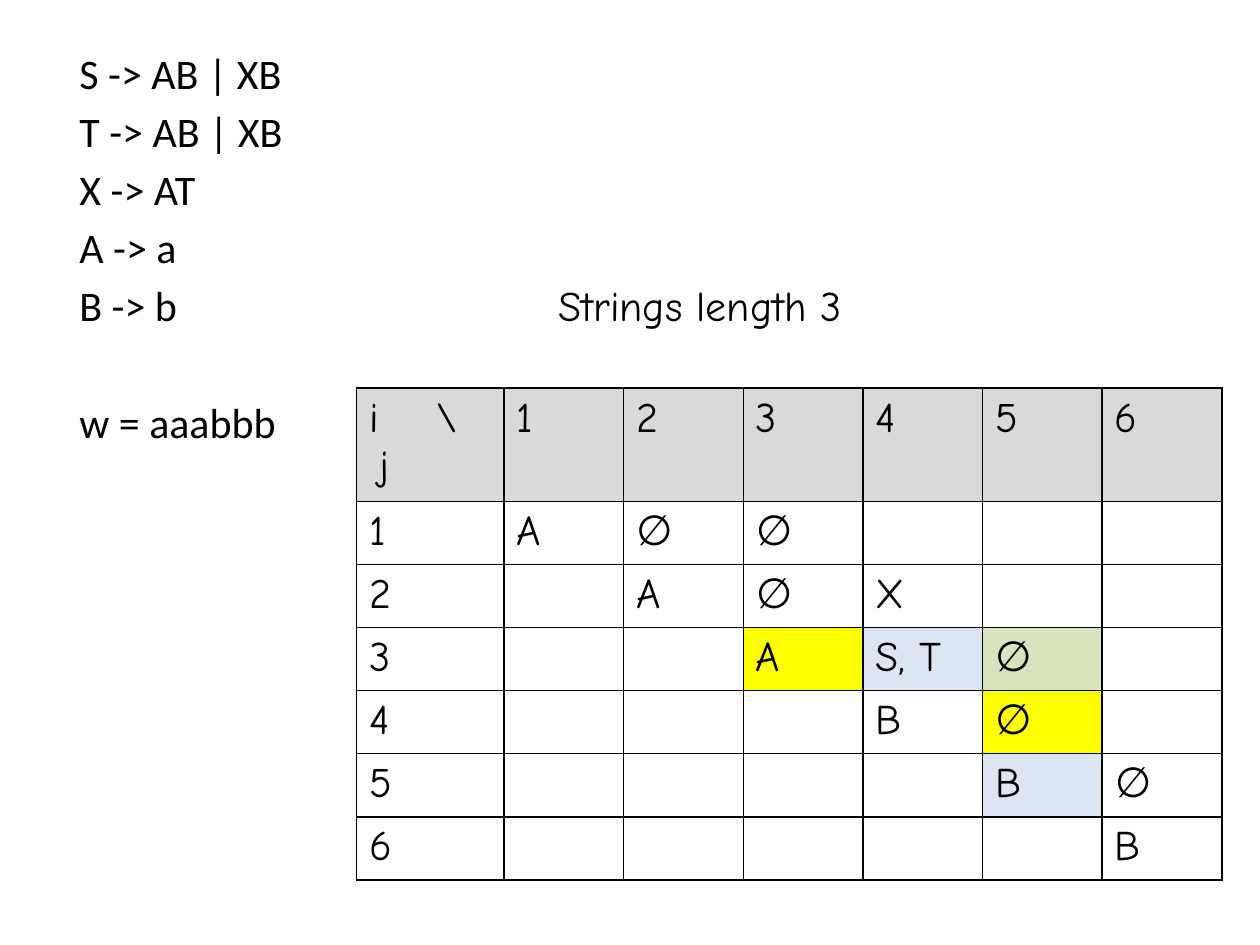
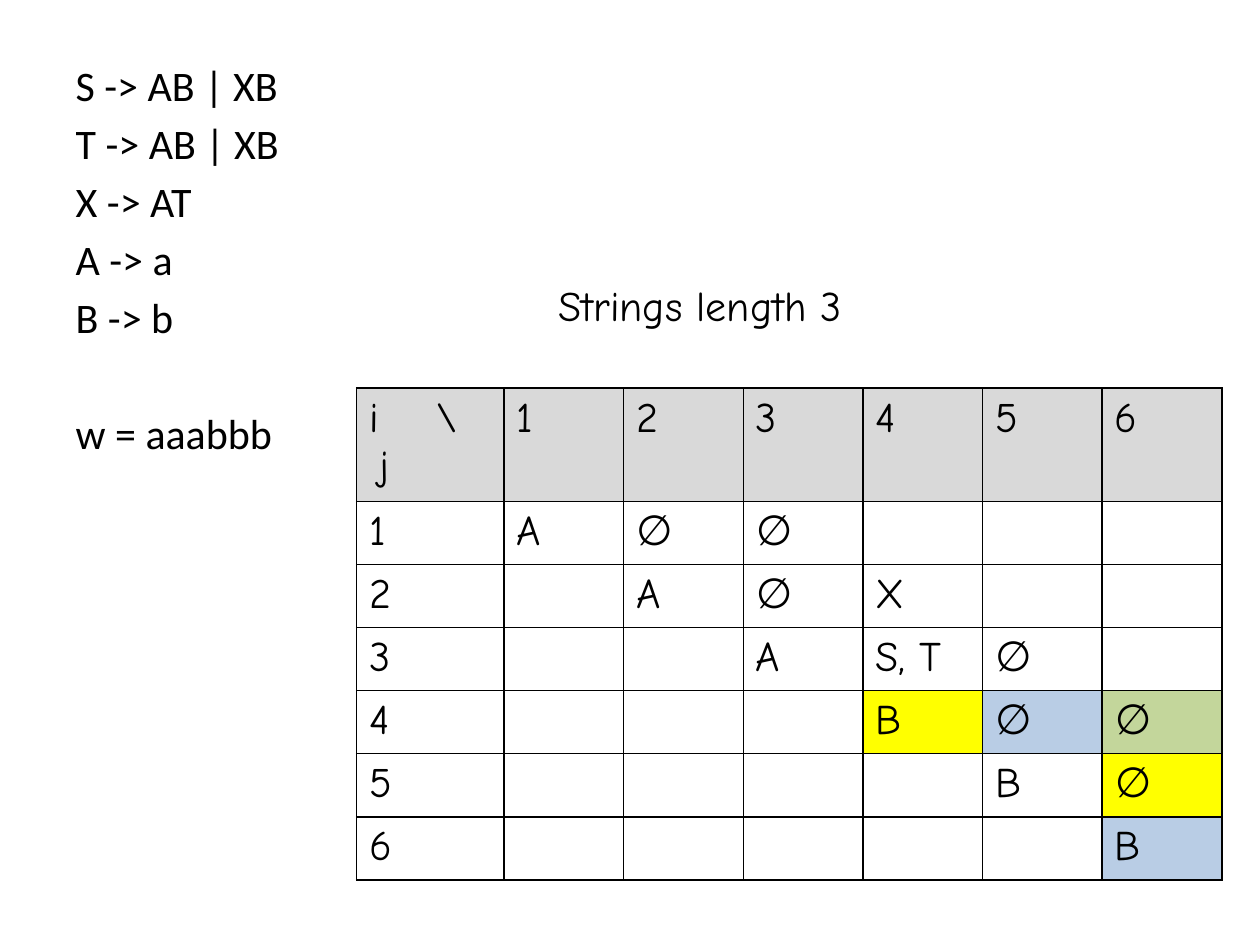
from lxml import etree
from pptx import Presentation
from pptx.dml.color import RGBColor
from pptx.enum.text import MSO_ANCHOR, MSO_AUTO_SIZE, PP_ALIGN
from pptx.oxml.ns import qn
from pptx.util import Pt

TOP = MSO_ANCHOR.TOP
LEFT = PP_ALIGN.LEFT
FIT_SHAPE = MSO_AUTO_SIZE.SHAPE_TO_FIT_TEXT

BLACK = RGBColor(0x00, 0x00, 0x00)
WHITE = RGBColor(0xFF, 0xFF, 0xFF)
HEADER_GREY = RGBColor(0xD9, 0xD9, 0xD9)
YELLOW = RGBColor(0xFF, 0xFF, 0x00)
PALE_BLUE = RGBColor(0xDC, 0xE6, 0xF2)
PALE_GREEN = RGBColor(0xD7, 0xE4, 0xBD)
MID_BLUE = RGBColor(0xB9, 0xCD, 0xE5)
MID_GREEN = RGBColor(0xC3, 0xD6, 0x9B)

TABLE_FONT = {"name": "Comic Neue", "size": Pt(24), "bold": False}
GRAMMAR_FONT = {"name": "Calibri", "size": Pt(24), "bold": False}
FRAME_FORMAT = {"word_wrap": True, "auto_size": FIT_SHAPE, "vertical_anchor": TOP}

TITLE_BOX = (311.76, 156.24, 198.72, 36)
TABLE_BOX = (203.76, 221.76, 494.64, 206.64)
LABEL_COLUMN = 84.24
PARA_GAP = 4.3
BLANK_LINE = 33.5

RULES = ["S -> AB | XB", "T -> AB | XB", "X -> AT", "A -> a", "B -> b"]
WORD = "aaabbb"
EMPTY = "∅"
KNOWN = {
    (1, 1): "A", (2, 2): "A", (3, 3): "A",
    (4, 4): "B", (5, 5): "B", (6, 6): "B",
    (1, 2): EMPTY, (2, 3): EMPTY, (3, 4): "S, T", (4, 5): EMPTY, (5, 6): EMPTY,
    (1, 3): EMPTY, (2, 4): "X",
}


def apply_format(target, values):
    for name, value in values.items():
        setattr(target, name, value)


def place(shape, box):
    for name, length in zip(("left", "top", "width", "height"), box):
        setattr(shape, name, Pt(length))


def write(para, text, font, gap=PARA_GAP):
    para.alignment = LEFT
    para.space_before = Pt(gap)
    span = para.add_run()
    span.text = text
    apply_format(span.font, font)
    span.font.color.rgb = BLACK


def add_title(page, box):
    title = page.shapes.title
    place(title, box)
    apply_format(title.text_frame, FRAME_FORMAT | {"word_wrap": False})
    write(title.text_frame.paragraphs[0], "Strings length 3", TABLE_FONT)


def add_grammar(page, box):
    body = page.placeholders[1]
    place(body, box)
    frame = body.text_frame
    apply_format(frame, FRAME_FORMAT)
    for index, line in enumerate(RULES + [f"w = {WORD}"]):
        para = frame.add_paragraph() if index else frame.paragraphs[0]
        gap = PARA_GAP + (BLANK_LINE if index == len(RULES) else 0)
        write(para, line, GRAMMAR_FONT, gap)
        properties = para._p.get_or_add_pPr()
        properties.set("marL", "0")
        properties.set("indent", "0")
        etree.SubElement(properties, qn("a:buNone"))


def add_borders(cell):
    properties = cell._tc.get_or_add_tcPr()
    for side in ("a:lnL", "a:lnR", "a:lnT", "a:lnB"):
        line = etree.SubElement(properties, qn(side), w=str(Pt(1)))
        fill = etree.SubElement(line, qn("a:solidFill"))
        etree.SubElement(fill, qn("a:srgbClr"), val=str(BLACK))


def write_corner(cell):
    first = cell.text_frame.paragraphs[0]
    write(first, "i\t\\", TABLE_FONT)
    tabs = etree.SubElement(first._p.get_or_add_pPr(), qn("a:tabLst"))
    etree.SubElement(tabs, qn("a:tab"), pos=str(Pt(38)), algn="l")
    second = cell.text_frame.add_paragraph()
    write(second, "j", TABLE_FONT, 0)
    second._p.get_or_add_pPr().set("marL", str(Pt(6)))


def split_fills(target, blue, green):
    start, end = target
    return {
        (start, start): YELLOW, (start + 1, end): YELLOW,
        (start, start + 1): blue, (end, end): blue,
        target: green,
    }


def add_parse_table(page, box, entries, fills):
    count = len(WORD) + 1
    frame = page.shapes.add_table(count, count, *map(Pt, box))
    table = frame.table
    table.first_row = False
    table.horz_banding = False
    for index in range(count):
        width = (box[2] - LABEL_COLUMN) / len(WORD) if index else LABEL_COLUMN
        table.columns[index].width = Pt(width)
        table.rows[index].height = Pt(box[3] / count)
    for row in range(count):
        for column in range(count):
            cell = table.cell(row, column)
            add_borders(cell)
            cell.fill.solid()
            base = WHITE if row else HEADER_GREY
            cell.fill.fore_color.rgb = fills.get((row, column), base)
            if row == column == 0:
                write_corner(cell)
                continue
            text = entries.get((row, column), "") if row and column else str(row + column)
            if text:
                gap = 0 if text == EMPTY else PARA_GAP
                write(cell.text_frame.paragraphs[0], text, TABLE_FONT, gap)


def add_step(deck, grammar_box, entries, fills):
    page = deck.slides.add_slide(deck.slide_layouts[1])
    add_parse_table(page, TABLE_BOX, entries, fills)
    add_title(page, TITLE_BOX)
    add_grammar(page, grammar_box)


def main():
    deck = Presentation()
    deck.slide_width = Pt(720)
    deck.slide_height = Pt(540)
    steps = [
        ((3, 5), (38.16, 23.76, 331.92, 245.52), PALE_BLUE, PALE_GREEN),
        ((4, 6), (36, 30.24, 331.92, 245.52), MID_BLUE, MID_GREEN),
    ]
    entries = dict(KNOWN)
    for target, grammar_box, blue, green in steps:
        entries[target] = EMPTY
        add_step(deck, grammar_box, entries, split_fills(target, blue, green))
    deck.save("out.pptx")


if __name__ == "__main__":
    main()
